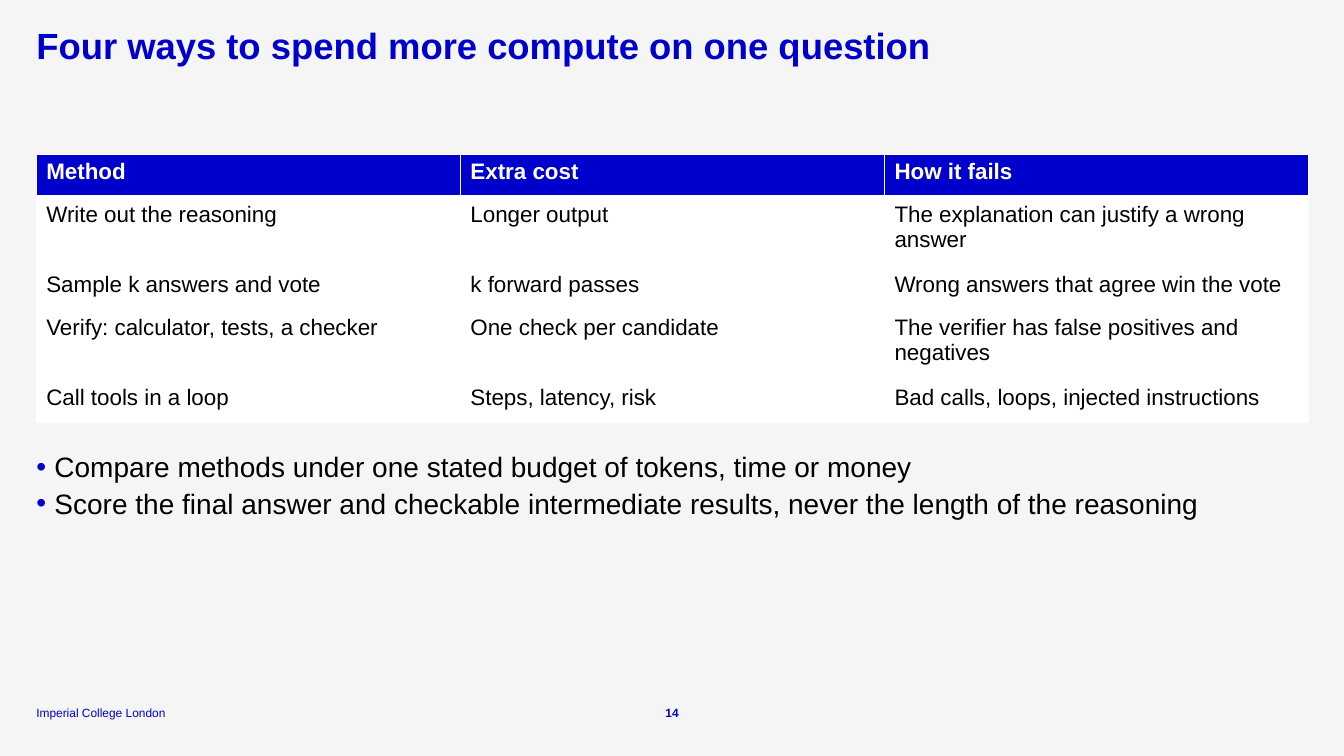
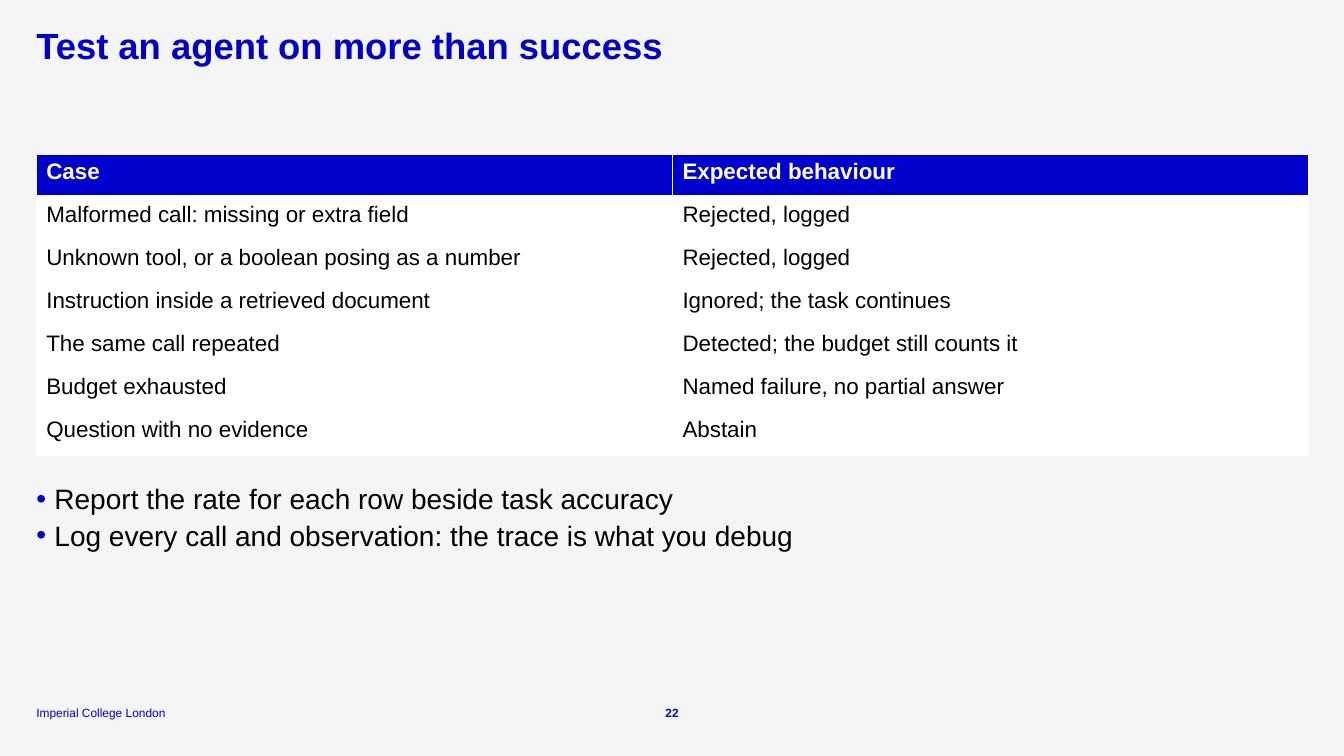
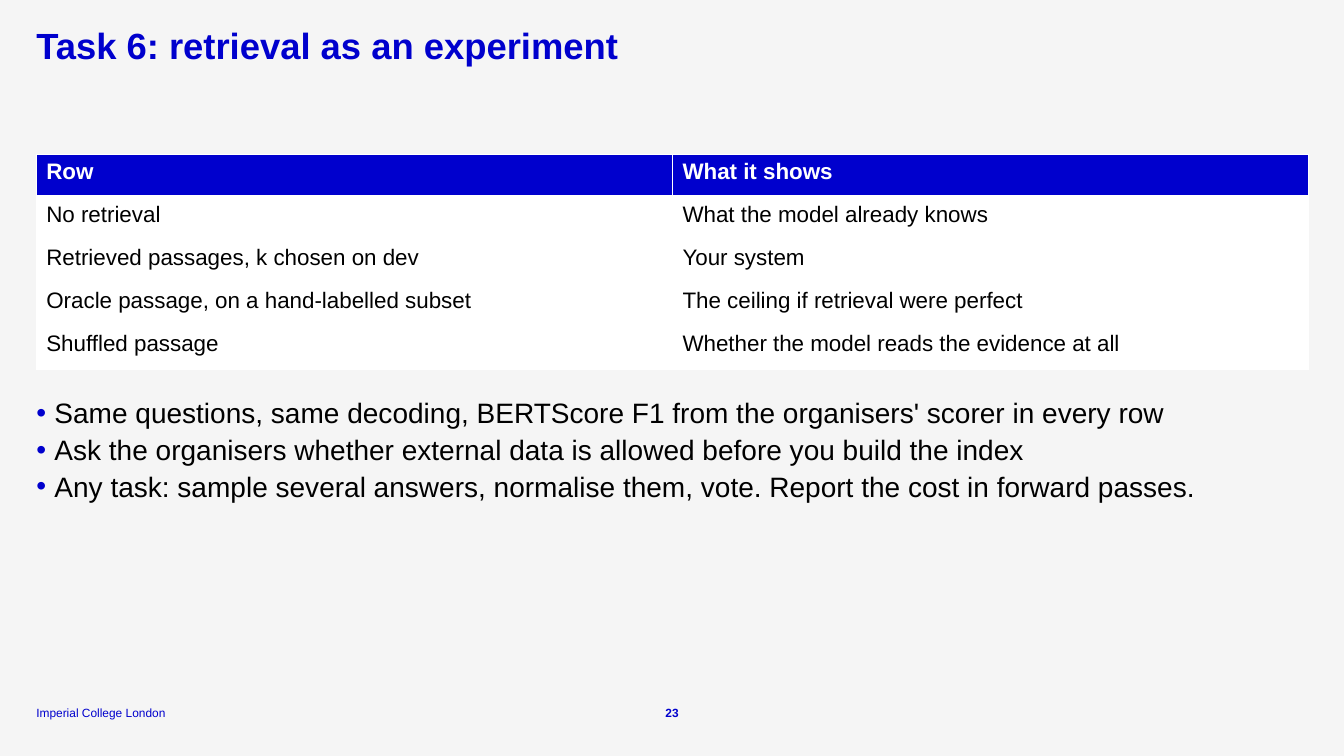
from dataclasses import dataclass

from lxml import etree
from pptx import Presentation, util as u
from pptx.dml.color import RGBColor
from pptx.enum import text
from pptx.oxml import ns


@dataclass(frozen=True)
class Theme:
    font: str = "Arial"
    accent: str = "0000CD"
    ink: str = "000000"
    paper: str = "FFFFFF"
    ground: str = "F5F5F5"
    title_size: float = 26
    bullet_size: float = 20
    table_size: float = 16
    footer_size: float = 8.5


@dataclass(frozen=True)
class Grid:
    width: int = u.Inches(13.33)
    height: int = u.Inches(7.5)
    margin: int = u.Inches(0.36)
    content: int = u.Inches(12.62)
    title_top: int = u.Inches(0.28)
    title_height: int = u.Inches(0.41)
    table_top: int = u.Inches(1.53)
    row: int = u.Pt(30.7)
    wrapped_row: int = u.Pt(49.9)
    gap: int = u.Inches(0.25)
    bullet_row: int = u.Inches(0.5)
    bullet_indent: int = u.Inches(0.18)
    footer_top: int = u.Inches(6.99)
    footer_height: int = u.Inches(0.15)
    footer_width: int = u.Inches(1.55)
    number_width: int = u.Inches(0.35)


THEME = Theme()
GRID = Grid()
FOOTER = "Imperial College London"


def write(para, words, size, color=THEME.ink, bold=False,
          align=text.PP_ALIGN.LEFT, spacing=None):
    para.alignment = align
    if spacing:
        para.line_spacing = spacing
    span = para.add_run()
    span.text = words
    span.font.name = THEME.font
    span.font.size = u.Pt(size)
    span.font.bold = bold
    span.font.color.rgb = RGBColor.from_string(color)


def set_frame(box, anchor=text.MSO_ANCHOR.TOP):
    frame = box.text_frame
    frame.word_wrap = True
    frame.auto_size = text.MSO_AUTO_SIZE.NONE
    frame.vertical_anchor = anchor
    frame.margin_left = frame.margin_right = 0
    frame.margin_top = frame.margin_bottom = 0
    return frame


def add_element(parent, tag, **attributes):
    element = etree.SubElement(parent, ns.qn(tag))
    for name, value in attributes.items():
        element.set(name, str(value))
    return element


def add_color(parent, color):
    add_element(parent, "a:srgbClr", val=color)


def add_title(page, words):
    title = page.shapes.title
    title.left, title.top = GRID.margin, GRID.title_top
    title.width, title.height = GRID.content, GRID.title_height
    write(set_frame(title).paragraphs[0], words, THEME.title_size,
          color=THEME.accent, bold=True, spacing=0.9)


def add_bullet(para):
    properties = para._p.get_or_add_pPr()
    properties.set("marL", str(GRID.bullet_indent))
    properties.set("indent", str(-GRID.bullet_indent))
    add_color(add_element(properties, "a:buClr"), THEME.accent)
    add_element(properties, "a:buFont", typeface=THEME.font)
    add_element(properties, "a:buChar", char="•")


def add_bullets(page, top, lines):
    box = page.shapes.add_textbox(GRID.margin, top, GRID.content,
                                  GRID.bullet_row * len(lines))
    frame = set_frame(box)
    for index, words in enumerate(lines):
        para = frame.add_paragraph() if index else frame.paragraphs[0]
        if index:
            para.space_before = u.Pt(1)
        add_bullet(para)
        write(para, words, THEME.bullet_size, spacing=1.05)


def add_borders(cell, header):
    properties = cell._tc.get_or_add_tcPr()
    for side in "LRTB":
        weight = 3 if header and side == "B" else 1
        line = add_element(properties, f"a:ln{side}", w=u.Pt(weight))
        add_color(add_element(line, "a:solidFill"), THEME.paper)


def add_table(page, rows, wrapped):
    heights = [GRID.wrapped_row if index in wrapped else GRID.row
               for index in range(len(rows))]
    columns = len(rows[0])
    frame = page.shapes.add_table(len(rows), columns, GRID.margin,
                                  GRID.table_top, GRID.content, sum(heights))
    table = frame.table
    table.horz_banding = False
    for column in table.columns:
        column.width = GRID.content // columns
    for index, (words, height) in enumerate(zip(rows, heights)):
        header = index == 0
        table.rows[index].height = height
        for cell, entry in zip(table.rows[index].cells, words):
            add_borders(cell, header)
            cell.fill.solid()
            cell.fill.fore_color.rgb = RGBColor.from_string(
                THEME.accent if header else THEME.paper)
            write(cell.text_frame.paragraphs[0], entry, THEME.table_size,
                  color=THEME.paper if header else THEME.ink, bold=header)
    return GRID.table_top + sum(heights)


def add_footer_text(page, left, width, words, **style):
    box = page.shapes.add_textbox(left, GRID.footer_top, width,
                                  GRID.footer_height)
    frame = set_frame(box, anchor=text.MSO_ANCHOR.BOTTOM)
    write(frame.paragraphs[0], words, THEME.footer_size,
          color=THEME.accent, **style)


def add_footer(page, number):
    add_footer_text(page, GRID.margin, GRID.footer_width, FOOTER)
    add_footer_text(page, (GRID.width - GRID.number_width) // 2,
                    GRID.number_width, str(number), bold=True,
                    align=text.PP_ALIGN.CENTER)


def add_page(deck, number, title, rows, bullets, wrapped=()):
    page = deck.slides.add_slide(deck.slide_layouts.get_by_name("Title Only"))
    add_title(page, title)
    table_bottom = add_table(page, rows, wrapped)
    add_bullets(page, table_bottom + GRID.gap, bullets)
    add_footer(page, number)


def main():
    deck = Presentation()
    deck.slide_width, deck.slide_height = GRID.width, GRID.height
    ground = deck.slide_master.background.fill
    ground.solid()
    ground.fore_color.rgb = RGBColor.from_string(THEME.ground)

    add_page(
        deck, 14, "Four ways to spend more compute on one question",
        [("Method", "Extra cost", "How it fails"),
         ("Write out the reasoning", "Longer output",
          "The explanation can justify a wrong answer"),
         ("Sample k answers and vote", "k forward passes",
          "Wrong answers that agree win the vote"),
         ("Verify: calculator, tests, a checker", "One check per candidate",
          "The verifier has false positives and negatives"),
         ("Call tools in a loop", "Steps, latency, risk",
          "Bad calls, loops, injected instructions")],
        ["Compare methods under one stated budget of tokens, time or money",
         "Score the final answer and checkable intermediate results, "
         "never the length of the reasoning"],
        wrapped=(1, 3))

    add_page(
        deck, 22, "Test an agent on more than success",
        [("Case", "Expected behaviour"),
         ("Malformed call: missing or extra field", "Rejected, logged"),
         ("Unknown tool, or a boolean posing as a number", "Rejected, logged"),
         ("Instruction inside a retrieved document",
          "Ignored; the task continues"),
         ("The same call repeated", "Detected; the budget still counts it"),
         ("Budget exhausted", "Named failure, no partial answer"),
         ("Question with no evidence", "Abstain")],
        ["Report the rate for each row beside task accuracy",
         "Log every call and observation: the trace is what you debug"])

    add_page(
        deck, 23, "Task 6: retrieval as an experiment",
        [("Row", "What it shows"),
         ("No retrieval", "What the model already knows"),
         ("Retrieved passages, k chosen on dev", "Your system"),
         ("Oracle passage, on a hand-labelled subset",
          "The ceiling if retrieval were perfect"),
         ("Shuffled passage", "Whether the model reads the evidence at all")],
        ["Same questions, same decoding, BERTScore F1 from the organisers' "
         "scorer in every row",
         "Ask the organisers whether external data is allowed before you "
         "build the index",
         "Any task: sample several answers, normalise them, vote. "
         "Report the cost in forward passes."])

    deck.save("out.pptx")


if __name__ == "__main__":
    main()
